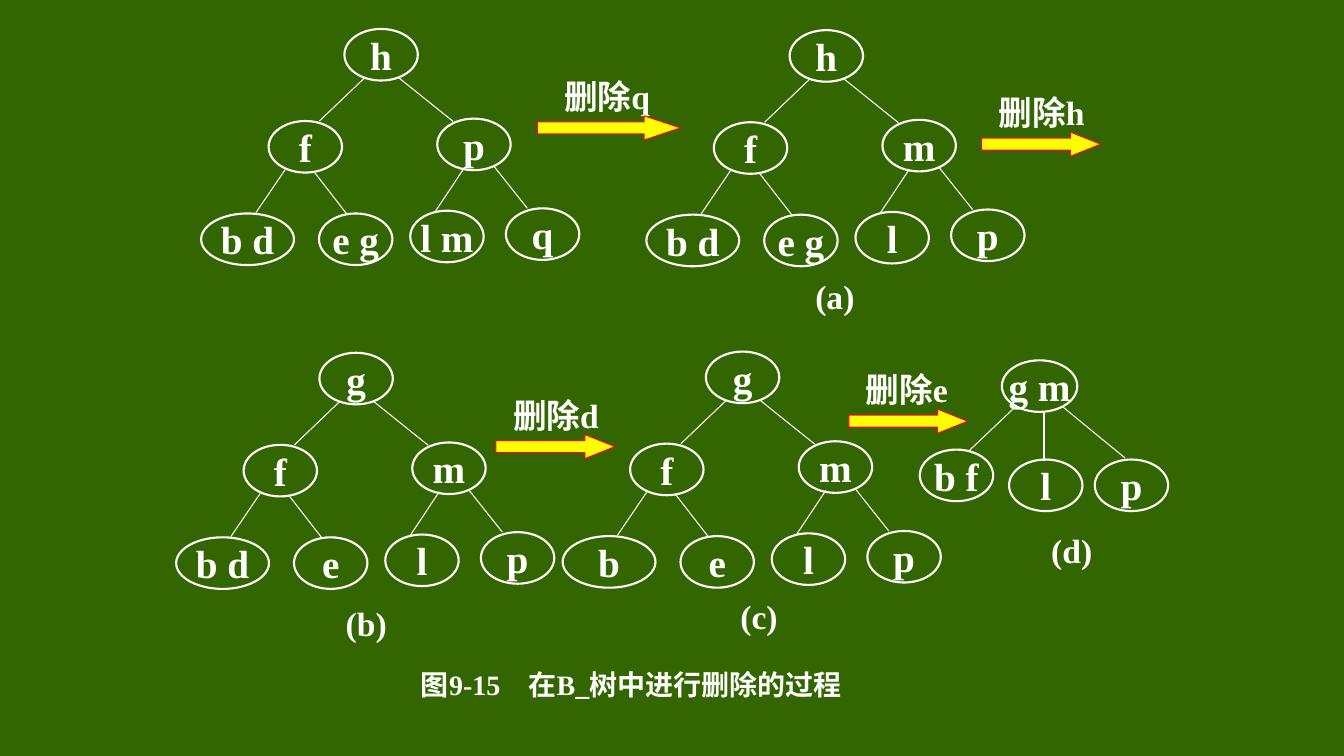
import pptx
import pptx.util
import pptx.dml.color
import pptx.enum.shapes
import pptx.enum.text
import pptx.oxml.ns
import lxml.etree

Cm = pptx.util.Cm
Pt = pptx.util.Pt
ALIGN = pptx.enum.text.PP_ALIGN

COLORS = {"board": "336600", "chalk": "FFFFFF", "arrow": "FFFF00", "arrow_edge": "FF0033"}
FONT = "Times New Roman"
NODE_HEIGHT = 1.3
ARROW_HEIGHT = 0.61
LABEL_WIDTH = 3.2
LABEL_HEIGHT = 1.09
LABEL_RISE = 1.04
MARK_WIDTH = 2.0

# Layouts, in cm from the root's corner: nodes (x, y, width), edges (x1, y1, x2, y2)
THREE_LEVELS = {
    "nodes": [(0, 0, 1.85), (-1.91, 2.32, 1.85), (2.34, 2.26, 1.85),
              (-3.61, 4.65, 2.34), (-0.64, 4.65, 1.85), (1.66, 4.58, 1.85), (4.07, 4.52, 1.85)],
    "edges": [(0.51, 1.23, -0.63, 2.32), (1.37, 1.23, 2.74, 2.33),
              (-1.49, 3.54, -2.23, 4.63), (-0.78, 3.58, 0.05, 4.65),
              (3.02, 3.5, 2.29, 4.6), (3.76, 3.45, 4.61, 4.52)],
}
TWO_LEVELS = {
    "nodes": [(0, 0, 1.9), (-2.07, 2.25, 1.85), (0.18, 2.5, 1.85), (2.34, 2.5, 1.85)],
    "edges": [(0.36, 1.15, -0.81, 2.26), (1.06, 1.32, 1.06, 2.54), (1.53, 1.17, 3.1, 2.46)],
}

# Trees: root x, root y, layout, keys level by level
TREES = [
    (8.68, 0.73, THREE_LEVELS, ["h", "f", "p", "b d", "e g", "l m", "q"]),
    (19.9, 0.76, THREE_LEVELS, ["h", "f", "m", "b d", "e g", "l", "p"]),
    (8.05, 8.89, THREE_LEVELS, ["g", "f", "m", "b d", "e", "l", "p"]),
    (17.79, 8.86, THREE_LEVELS, ["g", "f", "m", "b", "e", "l", "p"]),
    (25.25, 9.08, TWO_LEVELS, ["g m", "b f", "l", "p"]),
]
# Deletion steps: label, arrow x, arrow y, arrow length, head ratio, label indent
STEPS = [
    ("删除q", 13.54, 2.92, 3.61, 1.5, 0.43),
    ("删除h", 24.74, 3.33, 3.0, 1.25, 0.18),
    ("删除d", 12.5, 10.95, 3.0, 1.25, 0.18),
    ("删除e", 21.39, 10.31, 3.0, 1.25, 0.18),
]
# Tree marks: text, centre x, top
TREE_MARKS = [("(a)", 21.04, 6.91), ("(b)", 9.23, 15.16), ("(c)", 19.13, 14.99), ("(d)", 27.01, 13.31)]
CAPTION = ("图9-15　在B_树中进行删除的过程", 10.36, 16.74, 13.0, 0.99)


def color(name):
    return pptx.dml.color.RGBColor.from_string(COLORS[name])


def write(shape, text, size, alignment, wrap):
    frame = shape.text_frame
    frame.word_wrap = wrap
    frame.vertical_anchor = pptx.enum.text.MSO_ANCHOR.MIDDLE
    paragraph = frame.paragraphs[0]
    paragraph.alignment = alignment
    run = paragraph.add_run()
    run.text = text
    run.font.name = FONT
    run.font.size = Pt(size)
    run.font.bold = True
    run.font.color.rgb = color("chalk")


def add_text(slide, text, x, y, width, height, size, alignment=ALIGN.LEFT):
    box = slide.shapes.add_textbox(Cm(x), Cm(y), Cm(width), Cm(height))
    write(box, text, size, alignment, True)


def add_edge(slide, x1, y1, x2, y2):
    edge = slide.shapes.add_connector(
        pptx.enum.shapes.MSO_CONNECTOR.STRAIGHT, Cm(x1), Cm(y1), Cm(x2), Cm(y2))
    edge.line.color.rgb = color("chalk")
    edge.line.width = Pt(0.75)
    lxml.etree.SubElement(edge._element.spPr, pptx.oxml.ns.qn("a:effectLst"))


def add_node(slide, key, x, y, width):
    node = slide.shapes.add_shape(
        pptx.enum.shapes.MSO_SHAPE.OVAL, Cm(x), Cm(y), Cm(width), Cm(NODE_HEIGHT))
    node.shadow.inherit = False
    node.fill.background()
    node.line.color.rgb = color("chalk")
    node.line.width = Pt(1.5)
    write(node, key, 28, ALIGN.CENTER, False)


def add_tree(slide, root_x, root_y, layout, keys):
    for x1, y1, x2, y2 in layout["edges"]:
        add_edge(slide, root_x + x1, root_y + y1, root_x + x2, root_y + y2)
    for key, (x, y, width) in zip(keys, layout["nodes"]):
        add_node(slide, key, root_x + x, root_y + y, width)


def add_step(slide, label, x, y, length, head_ratio, indent):
    add_text(slide, label, x + indent, y - LABEL_RISE, LABEL_WIDTH, LABEL_HEIGHT, 24)
    arrow = slide.shapes.add_shape(
        pptx.enum.shapes.MSO_SHAPE.RIGHT_ARROW, Cm(x), Cm(y), Cm(length), Cm(ARROW_HEIGHT))
    arrow.shadow.inherit = False
    arrow.adjustments[0] = 0.5
    arrow.adjustments[1] = head_ratio
    arrow.fill.solid()
    arrow.fill.fore_color.rgb = color("arrow")
    arrow.line.color.rgb = color("arrow_edge")
    arrow.line.width = Pt(0.75)


def main():
    presentation = pptx.Presentation()
    presentation.slide_width = Cm(33.87)
    presentation.slide_height = Cm(19.05)
    slide = presentation.slides.add_slide(presentation.slide_layouts[6])
    slide.background.fill.solid()
    slide.background.fill.fore_color.rgb = color("board")

    # Trees and the deletions between them
    for tree in TREES:
        add_tree(slide, *tree)
    for step in STEPS:
        add_step(slide, *step)

    # Tree marks and figure caption
    for mark, center_x, y in TREE_MARKS:
        add_text(slide, mark, center_x - MARK_WIDTH / 2, y, MARK_WIDTH, LABEL_HEIGHT, 24, ALIGN.CENTER)
    add_text(slide, *CAPTION, 20)

    presentation.save("out.pptx")


if __name__ == "__main__":
    main()
